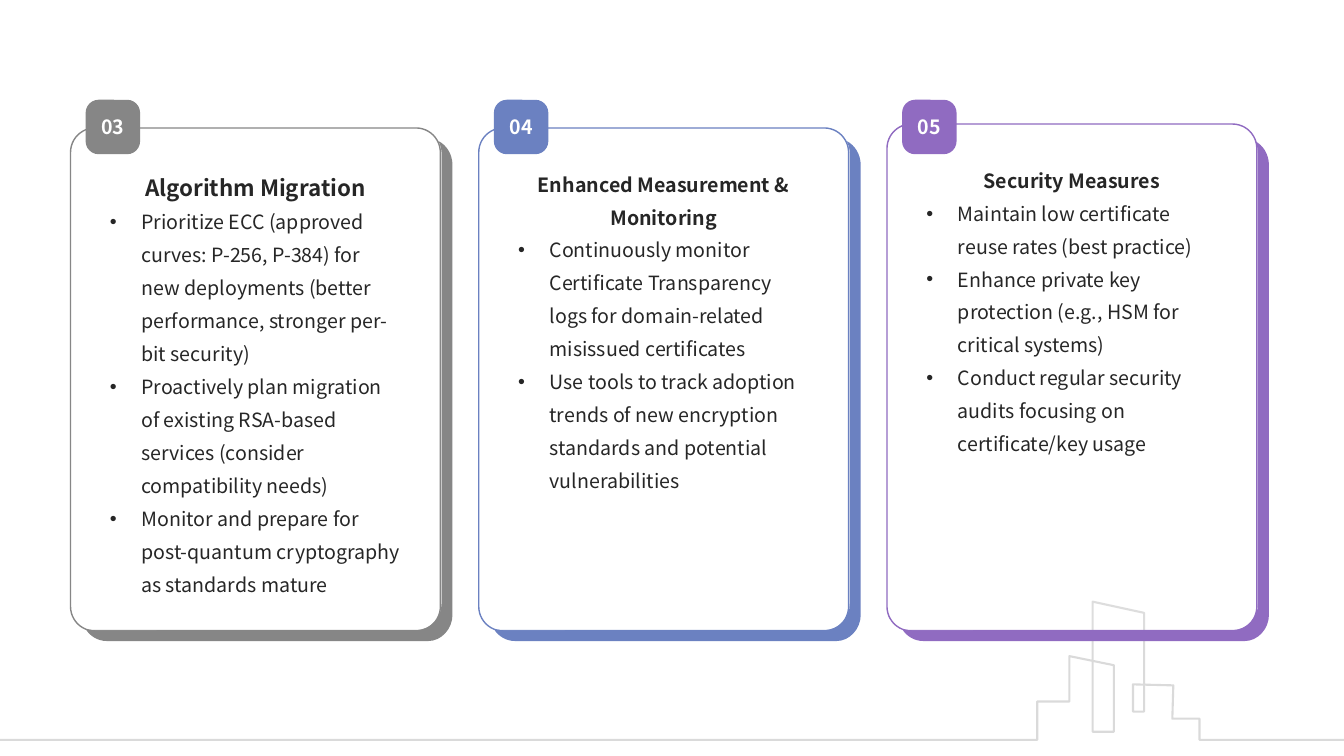
from lxml.etree import SubElement
from pptx import Presentation
from pptx.dml.color import RGBColor
from pptx.enum.shapes import MSO_SHAPE
from pptx.enum.text import MSO_ANCHOR, PP_ALIGN
from pptx.oxml.ns import qn
from pptx.util import Pt

COLORS = {
    "gray": "868686",
    "blue": "6B81C1",
    "purple": "906BC1",
    "text": "262626",
    "white": "FFFFFF",
}
FONT = "Noto Sans CJK SC"

SKYLINE = [
    (960, 528.5), (856.8, 528.5), (856.8, 513.4), (837.4, 513.4),
    (838.1, 489.6), (809.3, 488.9), (809.3, 508.3), (817.2, 508.3),
    (817.2, 437.8), (780.5, 429.8), (780.5, 522.7), (795.6, 522.7),
    (795.6, 475.2), (763.9, 468.7), (763.9, 501.1), (740.9, 501.1),
    (740.9, 528.5), (0, 528.5),
]

SHADOW_CURVES = [
    ((252, 0), (257.8, 2.9), (262, 9.4), (262, 17.3)),
    ((262, 338.4), (262, 348.5), (254, 357.1), (244.8, 357.1)),
    ((15.1, 357.1), (8.6, 357.1), (2.9, 353.5), (0, 348.5)),
    ((0, 348.5), (2.2, 348.9), (4.3, 349.2), (7.2, 349.2)),
    ((236.2, 349.2), (246.2, 349.2), (254.2, 340.6), (254.2, 330.5)),
    ((254.2, 8.6), (254.2, 5.8), (253.4, 2.9), (252, 0)),
]

CARDS = [
    ("03", "gray", 91.4, "Algorithm Migration", 16, [
        "Prioritize ECC (approved curves: P-256, P-384) for new deployments "
        "(better performance, stronger per-bit security)",
        "Proactively plan migration of existing RSA-based services "
        "(consider compatibility needs)",
        "Monitor and prepare for post-quantum cryptography as standards mature",
    ]),
    ("04", "blue", 91.4, "Enhanced Measurement & Monitoring", 14, [
        "Continuously monitor Certificate Transparency logs for "
        "domain-related misissued certificates",
        "Use tools to track adoption trends of new encryption standards "
        "and potential vulnerabilities",
    ]),
    ("05", "purple", 88.6, "Security Measures", 14, [
        "Maintain low certificate reuse rates (best practice)",
        "Enhance private key protection (e.g., HSM for critical systems)",
        "Conduct regular security audits focusing on certificate/key usage",
    ]),
]
CARD_LEFT, CARD_STEP, CARD_WIDTH, CARD_BOTTOM = 50.4, 291.6, 264.2, 450.7
ACCENT_OFFSET, SHADOW_TOP, BADGE_TOP, BADGE_SIZE = 10.8, 100.8, 71.3, 38.9


def curve_points(start, first, second, end, steps=8):
    weights = [
        ((1 - t) ** 3, 3 * t * (1 - t) ** 2, 3 * t * t * (1 - t), t ** 3)
        for t in (step / steps for step in range(steps + 1))
    ]
    return [
        tuple(
            sum(w * point[axis] for w, point in zip(weight, (start, first, second, end)))
            for axis in (0, 1)
        )
        for weight in weights
    ]


class CardSlide:
    def __init__(self, slide, colors, font):
        self.shapes = slide.shapes
        self.colors = colors
        self.font = font

    def color(self, name):
        return RGBColor.from_string(self.colors[name])

    def set_opacity(self, shape, part, percent):
        for paint in shape.element.xpath(f"./p:spPr/{part}/a:srgbClr"):
            SubElement(paint, qn("a:alpha"), val=str(percent * 1000))

    def paint(self, shape, fill=None, line=None, width=1):
        shape.shadow.inherit = False
        if fill:
            shape.fill.solid()
            shape.fill.fore_color.rgb = self.color(fill)
        else:
            shape.fill.background()
        if line:
            shape.line.color.rgb = self.color(line)
            shape.line.width = Pt(width)
        else:
            shape.line.fill.background()

    def outline(self, points, left=0, top=0, closed=True):
        corners = [(Pt(left + x), Pt(top + y)) for x, y in points]
        builder = self.shapes.build_freeform(*corners[0], scale=1.0)
        builder.add_line_segments(corners[1:], close=closed)
        return builder.convert_to_shape()

    def skyline(self, points):
        city = self.outline(points, closed=False)
        self.paint(city, line="gray", width=1.5)
        self.set_opacity(city, "a:ln/a:solidFill", 30)

    def shadow(self, left, top, color):
        points = [point for curve in SHADOW_CURVES for point in curve_points(*curve)]
        self.paint(self.outline(points, left, top), fill=color)

    def rounded(self, left, top, width, height, radius):
        shape = self.shapes.add_shape(
            MSO_SHAPE.ROUNDED_RECTANGLE, Pt(left), Pt(top), Pt(width), Pt(height)
        )
        shape.adjustments[0] = radius
        return shape

    def add_text(self, paragraph, text, size, color, bold=False):
        run = paragraph.add_run()
        run.text = text
        run.font.name = self.font
        run.font.size = Pt(size)
        run.font.bold = bold
        run.font.color.rgb = self.color(color)

    def bullet(self, paragraph):
        properties = paragraph._p.get_or_add_pPr()
        properties.set("marL", str(Pt(22.5)))
        properties.set("indent", str(-Pt(22.5)))
        SubElement(properties, qn("a:buFont"), typeface="Arial")
        SubElement(properties, qn("a:buChar"), char="•")

    def card(self, left, top, color, heading, heading_size, measures):
        panel = self.rounded(left, top, CARD_WIDTH, CARD_BOTTOM - top, 0.066)
        self.paint(panel, fill="white", line=color)
        self.set_opacity(panel, "a:solidFill", 10)
        frame = panel.text_frame
        frame.word_wrap = True
        frame.vertical_anchor = MSO_ANCHOR.TOP
        frame.margin_left = frame.margin_right = Pt(23)
        frame.margin_top, frame.margin_bottom = Pt(20), Pt(54.7)
        title = frame.paragraphs[0]
        title.alignment = PP_ALIGN.CENTER
        title.line_spacing = 1.4
        self.add_text(title, heading, heading_size, "text", bold=True)
        for measure in measures:
            item = frame.add_paragraph()
            item.alignment = PP_ALIGN.LEFT
            item.line_spacing = 1.4
            self.bullet(item)
            self.add_text(item, measure, 14, "text")

    def badge(self, left, top, color, number):
        tile = self.rounded(left, top, BADGE_SIZE, BADGE_SIZE, 0.238)
        self.paint(tile, fill=color)
        frame = tile.text_frame
        frame.word_wrap = False
        frame.vertical_anchor = MSO_ANCHOR.MIDDLE
        label = frame.paragraphs[0]
        label.alignment = PP_ALIGN.CENTER
        self.add_text(label, number, 14, "white", bold=True)


def main():
    deck = Presentation()
    deck.slide_width, deck.slide_height = Pt(960), Pt(540)
    page = CardSlide(deck.slides.add_slide(deck.slide_layouts[6]), COLORS, FONT)
    page.skyline(SKYLINE)
    for index, (number, color, top, heading, heading_size, measures) in enumerate(CARDS):
        left = CARD_LEFT + index * CARD_STEP
        page.shadow(left + ACCENT_OFFSET, SHADOW_TOP, color)
        page.card(left, top, color, heading, heading_size, measures)
        page.badge(left + ACCENT_OFFSET, BADGE_TOP, color, number)
    deck.save("out.pptx")


if __name__ == "__main__":
    main()
